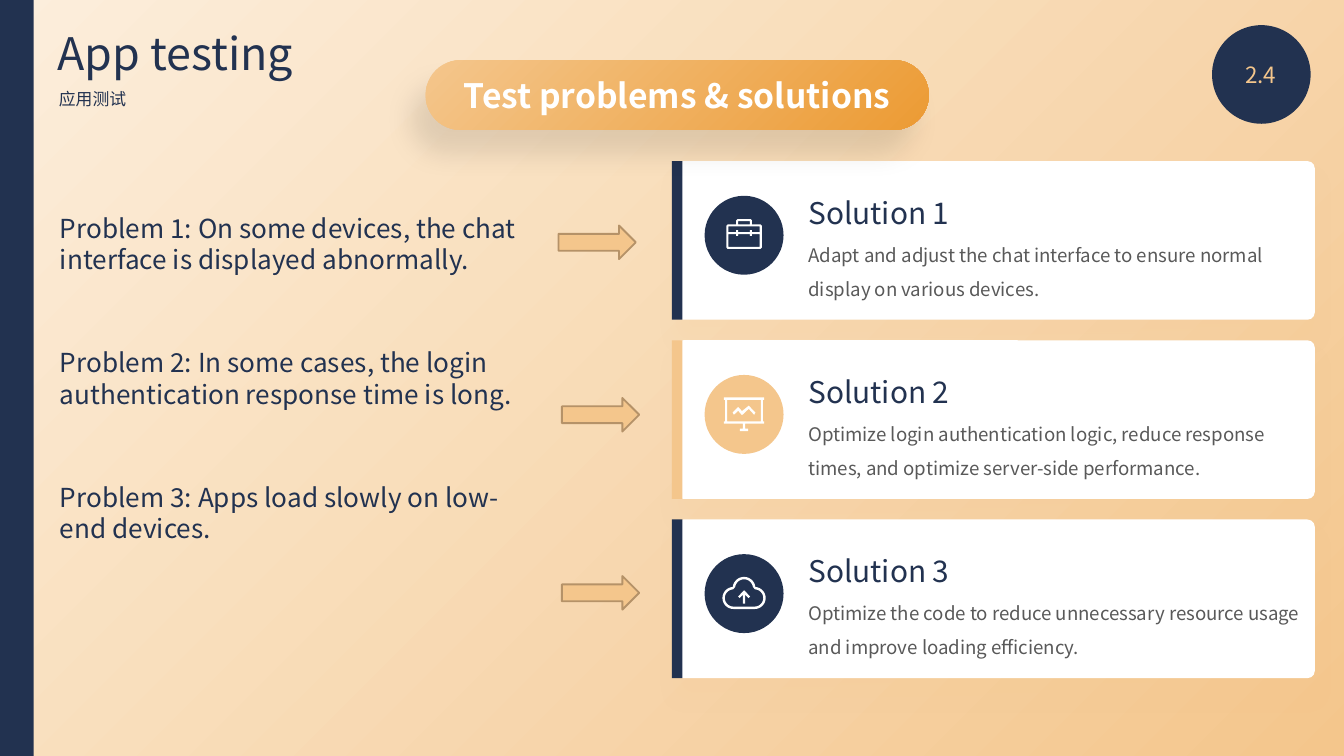
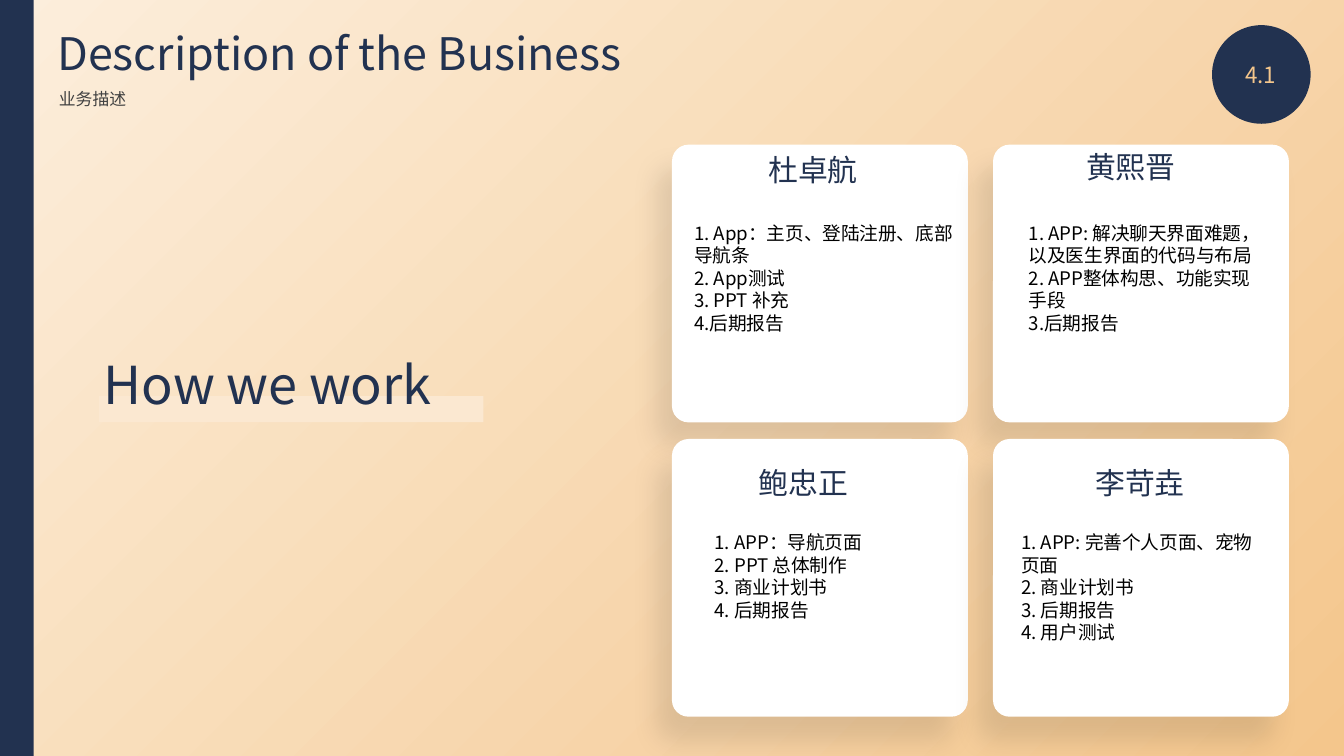
from dataclasses import dataclass
from math import cos, radians, sin
from typing import Any, NamedTuple, Optional

from lxml.etree import SubElement
from pptx import Presentation
from pptx.dml.color import RGBColor as Rgb
from pptx.enum.shapes import MSO_SHAPE as Preset
from pptx.enum.text import MSO_ANCHOR as Anchor, PP_ALIGN as Align
from pptx.oxml.ns import qn
from pptx.util import Pt


# ---- Theme ----
@dataclass(frozen=True)
class Theme:
    font: str = "Noto Sans CJK SC"
    navy: str = "223250"
    sand: str = "F4C68C"
    cream: str = "FCEEDC"
    orange: str = "EC9B34"
    highlight: str = "FBE8D1"
    arrow_edge: str = "B59268"
    white: str = "FFFFFF"
    black: str = "000000"
    body_grey: str = "595959"
    caption_grey: str = "404040"
    headline: int = 28
    title: int = 24
    banner: int = 18
    heading: int = 16
    problem: int = 14
    badge: int = 12
    body: int = 10
    caption: int = 9


THEME = Theme()


class Box(NamedTuple):
    left: float
    top: float
    width: float
    height: float

    def emu(self) -> list:
        return [Pt(value) for value in self]


class Shadow(NamedTuple):
    color: str
    opacity: int
    blur: float
    distance: float
    angle: int


CARD_GLOW = Shadow(THEME.sand, 10, 10, 10, 90)
DEEP_SHADOW = Shadow(THEME.black, 10, 14, 15, 123)

SLIDE = Box(0, 0, 720, 405)
SIDE_BAND = Box(0, 0, 18, 405)
BADGE = Box(649.3, 13.5, 52.8, 52.8)


# ---- Icon outlines, in points from the centre of their disc ----
def arc(x: float, y: float, radius: float, start: int, end: int) -> list:
    steps = 16
    angles = [radians(start + (end - start) * i / steps) for i in range(steps + 1)]
    return [(x + radius * cos(a), y + radius * sin(a)) for a in angles]


def cloud(inset: float) -> list:
    return (arc(-5.7, 2.3, 5.9 - inset, 90, 268)
            + arc(0, -2.9, 6.1 - inset, 188, 352)
            + arc(5.7, 2.3, 5.9 - inset, 272, 450))


def mirrored(right_half: list) -> list:
    """Close a symmetric outline from its right half, listed downwards."""
    return right_half + [(-x, y) for x, y in reversed(right_half)]


BRIEFCASE = [[
    mirrored([(3.6, -8.6), (4.2, -8), (4.2, -5.8), (8.8, -5.8), (9.5, -5.1),
              (9.5, 6.6), (8.8, 7.3)]),
    mirrored([(3.2, -7.5), (3.2, -5.8)]),
    mirrored([(8.4, -4.7), (8.4, -1.7), (4.2, -1.7), (4.2, -2.7), (3.2, -2.7),
              (3.2, -1.7)]),
    mirrored([(3.2, -0.6), (3.2, 0.4), (4.2, 0.4), (4.2, -0.6), (8.4, -0.6),
              (8.4, 6.2)]),
]]
BOARD = [
    [[(2.5, -4.7), (-1.1, -1.8), (-3.2, -4), (-6.1, -1), (-5.4, 0.2), (-3.2, -2),
      (-1.1, 0.4), (2.5, -3), (5.4, 0.2), (6.1, -1)]],
    [mirrored([(10.8, -9.2), (10.8, -7.8), (10.1, -7.8), (10.1, 3.8), (10.8, 3.8),
               (10.8, 5), (0.6, 5), (0.6, 7.6), (2.2, 7.6), (2.2, 9)]),
     mirrored([(9, -7.8), (9, 3.8)])],
]
UPLOAD = [
    [mirrored([(0, -1.8), (3.2, 1.5), (2.4, 2.4), (0.6, 0.6), (0.6, 5.4)])],
    [cloud(0), cloud(1.3)],
]


# ---- Content ----
@dataclass(frozen=True)
class Solution:
    heading: str
    remedy: str
    accent: str
    icon: list


@dataclass(frozen=True)
class Member:
    name: str
    name_box: Box
    duties: list
    duties_box: Box


PROBLEMS = [
    "Problem 1: On some devices, the chat interface is displayed abnormally.",
    "Problem 2: In some cases, the login authentication response time is long.",
    "Problem 3: Apps load slowly on low-end devices.",
]
SOLUTIONS = [
    Solution("Solution 1", "Adapt and adjust the chat interface to ensure normal "
             "display on various devices.", THEME.navy, BRIEFCASE),
    Solution("Solution 2", "Optimize login authentication logic, reduce response "
             "times, and optimize server-side performance.", THEME.sand, BOARD),
    Solution("Solution 3", "Optimize the code to reduce unnecessary resource usage "
             "and improve loading efficiency.", THEME.navy, UPLOAD),
]
ARROW_CORNERS = [(299.2, 120.8), (301, 213.2), (301, 308.6)]

MEMBERS = [
    Member("杜卓航", Box(360, 77.8, 151, 26.6),
           ["1. App：主页、登陆注册、底部导航条", "2. App测试", "3. PPT 补充", "4.后期报告"],
           Box(364.8, 115.2, 154, 68)),
    Member("黄熙晋", Box(532, 76.3, 147.6, 26.6),
           ["1. APP: 解决聊天界面难题，以及医生界面的代码与布局",
            "2. APP整体构思、功能实现手段", "3.后期报告"],
           Box(544, 115.2, 134, 80)),
    Member("鲍忠正", Box(355, 245.5, 151, 26.6),
           ["1. APP：导航页面", "2. PPT 总体制作", "3. 商业计划书", "4. 后期报告"],
           Box(375.8, 281, 126.7, 55.5)),
    Member("李苛垚", Box(537, 245.5, 147.6, 26.6),
           ["1. APP: 完善个人页面、宠物页面", "2. 商业计划书", "3. 后期报告", "4. 用户测试"],
           Box(540, 281, 142, 68)),
]


# ---- Drawing helpers ----
def set_all(target: Any, values: dict) -> None:
    for attribute, value in values.items():
        setattr(target, attribute, value)


def set_gradient(fill: Any, start: str, end: str, angle: int) -> None:
    fill.gradient()
    fill.gradient_angle = angle
    for stop, color, position in zip(fill.gradient_stops, (start, end), (0, 1)):
        stop.color.rgb = Rgb.from_string(color)
        stop.position = position


def cast_shadow(shape: Any, shadow: Shadow) -> None:
    effects = shape._element.spPr.find(qn("a:effectLst"))
    outer = SubElement(effects, qn("a:outerShdw"), {
        "blurRad": str(Pt(shadow.blur)), "dist": str(Pt(shadow.distance)),
        "dir": str(shadow.angle * 60000), "algn": "ctr", "rotWithShape": "0"})
    tint = SubElement(outer, qn("a:srgbClr"), val=shadow.color)
    SubElement(tint, qn("a:alpha"), val=str(shadow.opacity * 1000))


def paint(shape: Any, color: str) -> None:
    shape.shadow.inherit = False
    shape.fill.solid()
    shape.fill.fore_color.rgb = Rgb.from_string(color)
    shape.line.fill.background()


def add_preset(slide: Any, kind: Preset, box: Box, color: str,
               corner: Optional[float] = None,
               shadow: Optional[Shadow] = None) -> Any:
    shape = slide.shapes.add_shape(kind, *box.emu())
    paint(shape, color)
    if corner is not None:
        shape.adjustments[0] = corner
    if shadow:
        cast_shadow(shape, shadow)
    return shape


def write(frame: Any, lines: list, size: int, color: str, bold: bool = False,
          **paragraph_format: Any) -> None:
    """Fill a text frame; space_before applies from the second line on."""
    gap = paragraph_format.pop("space_before", None)
    frame.word_wrap = True
    for index, line in enumerate(lines):
        paragraph = frame.add_paragraph() if index else frame.paragraphs[0]
        set_all(paragraph, paragraph_format)
        if index and gap is not None:
            paragraph.space_before = gap
        run = paragraph.add_run()
        run.text = line
        set_all(run.font, {"name": THEME.font, "size": Pt(size), "bold": bold})
        run.font.color.rgb = Rgb.from_string(color)
        SubElement(run._r.get_or_add_rPr(), qn("a:ea"), typeface=THEME.font)


def add_text(slide: Any, box: Box, lines: list, size: int, color: str,
             **text_format: Any) -> None:
    frame = slide.shapes.add_textbox(*box.emu()).text_frame
    write(frame, lines, size, color, **text_format)


def add_icon(slide: Any, center_x: float, center_y: float, parts: list) -> None:
    for contours in parts:
        builder = None
        for contour in contours:
            points = [(Pt(center_x + x), Pt(center_y + y)) for x, y in contour]
            if builder is None:
                builder = slide.shapes.build_freeform(*points[0])
            else:
                builder.move_to(*points[0])
            builder.add_line_segments(points[1:], close=True)
        paint(builder.convert_to_shape(), THEME.white)


def start_slide(deck: Any, title: str, caption: str, number: str,
                caption_color: str) -> Any:
    """Add a slide with the shared background, side band, title and badge."""
    slide = deck.slides.add_slide(deck.slide_layouts[6])
    set_gradient(slide.background.fill, THEME.sand, THEME.cream, 135)
    add_preset(slide, Preset.RECTANGLE, SIDE_BAND, THEME.navy)
    add_preset(slide, Preset.OVAL, BADGE, THEME.navy)
    add_text(slide, Box(648.4, 29.3, 54, 21.6), [number], THEME.badge, THEME.sand,
             alignment=Align.CENTER)
    add_text(slide, Box(23.6, 10, 400, 36), [title], THEME.title, THEME.navy)
    add_text(slide, Box(24.5, 43.8, 240, 18), [caption], THEME.caption,
             caption_color, alignment=Align.JUSTIFY)
    return slide


# ---- Slide: test problems and solutions ----
def add_solution(slide: Any, top: float, solution: Solution) -> None:
    disc = Box(377.5, top + 18.6, 42.3, 42.3)
    add_preset(slide, Preset.ROUNDED_RECTANGLE, Box(362.2, top, 342.2, 85),
               THEME.white, corner=0.047, shadow=CARD_GLOW)
    add_preset(slide, Preset.RECTANGLE, Box(360, top, 5.6, 85), solution.accent)
    add_preset(slide, Preset.OVAL, disc, solution.accent)
    add_icon(slide, disc.left + disc.width / 2, disc.top + disc.height / 2,
             solution.icon)
    add_text(slide, Box(426, top + 14.4, 237, 26.6), [solution.heading],
             THEME.heading, THEME.navy)
    add_text(slide, Box(426, top + 34.8, 282.2, 43.2), [solution.remedy],
             THEME.body, THEME.body_grey, line_spacing=1.5)


def build_testing(deck: Any) -> None:
    slide = start_slide(deck, "App testing", "应用测试", "2.4", THEME.navy)
    for row, solution in enumerate(SOLUTIONS):
        add_solution(slide, 86.3 + 96 * row, solution)

    add_text(slide, Box(25, 110.2, 265.7, 277), PROBLEMS, THEME.problem,
             THEME.navy, space_before=Pt(38.4))
    for left, top in ARROW_CORNERS:
        arrow = add_preset(slide, Preset.RIGHT_ARROW, Box(left, top, 41.4, 18),
                           THEME.sand)
        arrow.line.color.rgb = Rgb.from_string(THEME.arrow_edge)
        arrow.line.width = Pt(1)

    banner = add_preset(slide, Preset.ROUNDED_RECTANGLE, Box(228, 32.2, 269.6, 37.4),
                        THEME.sand, corner=0.5, shadow=DEEP_SHADOW)
    set_gradient(banner.fill, THEME.sand, THEME.orange, 315)
    banner.text_frame.vertical_anchor = Anchor.MIDDLE
    write(banner.text_frame, ["Test problems & solutions"], THEME.banner,
          THEME.white, bold=True, alignment=Align.CENTER)


# ---- Slide: how we work ----
def build_business(deck: Any) -> None:
    slide = start_slide(deck, "Description of the Business", "业务描述", "4.1",
                        THEME.caption_grey)
    for index, member in enumerate(MEMBERS):
        row, column = divmod(index, 2)
        card = Box(360 + 172 * column, 77.5 + 157.7 * row, 158.5, 148.8)
        add_preset(slide, Preset.ROUNDED_RECTANGLE, card, THEME.white,
                   corner=0.06, shadow=DEEP_SHADOW)
        add_text(slide, member.name_box, [member.name], THEME.heading, THEME.navy,
                 alignment=Align.CENTER)
        add_text(slide, member.duties_box, member.duties, THEME.body, THEME.black)

    add_preset(slide, Preset.RECTANGLE, Box(53, 212.2, 206, 14), THEME.highlight)
    add_text(slide, Box(48.5, 185, 258.5, 37.4), ["How we work"], THEME.headline,
             THEME.navy)


def main() -> None:
    deck = Presentation()
    set_all(deck, {"slide_width": Pt(SLIDE.width), "slide_height": Pt(SLIDE.height)})
    build_testing(deck)
    build_business(deck)
    deck.save("out.pptx")


if __name__ == "__main__":
    main()
